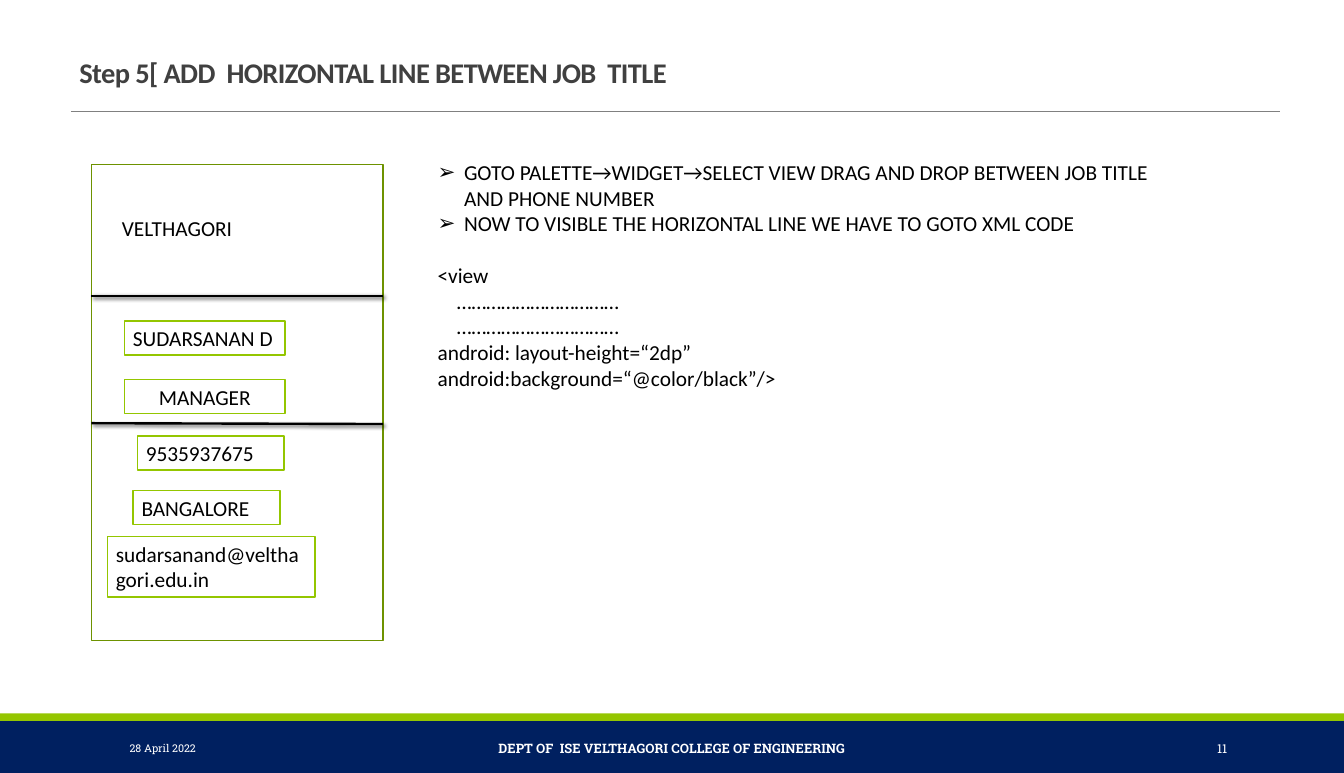
from dataclasses import dataclass

from lxml.etree import SubElement
from pptx import Presentation
from pptx.dml.color import RGBColor as RGB
from pptx.enum.shapes import MSO_CONNECTOR as Link, MSO_SHAPE as Shape
from pptx.enum.text import MSO_ANCHOR as Anchor, MSO_AUTO_SIZE as Fit, PP_ALIGN as Align
from pptx.oxml.ns import qn
from pptx.util import Inches, Pt


@dataclass(frozen=True)
class Theme:
    sans: str = "Calibri"
    slab: str = "Roboto Slab"
    navy: str = "002060"
    lime: str = "94C600"
    olive: str = "6D9200"
    white: str = "FFFFFF"
    black: str = "000000"
    dark: str = "404040"
    gray: str = "808080"
    head: float = 24
    body: float = 18
    foot: float = 11
    page: float = 10.5
    date: float = 9


THEME = Theme()
WIDE, HIGH = 15.75, 9.06
STEPS = [
    "GOTO PALETTE→WIDGET→SELECT VIEW DRAG AND DROP BETWEEN JOB TITLE AND PHONE NUMBER",
    "NOW TO VISIBLE THE HORIZONTAL LINE WE HAVE TO GOTO XML CODE",
]
CODE = [
    "<view",
    "    ……………………………",
    "    ……………………………",
    "android: layout-height=“2dp”",
    "android:background=“@color/black”/>",
]
# Text, offset from the card's corner, size, alignment
FIELDS = [
    ("SUDARSANAN D", 0.39, 1.83, 1.88, 0.4, Align.LEFT),
    ("MANAGER", 0.39, 2.52, 1.88, 0.4, Align.CENTER),
    ("9535937675", 0.54, 3.18, 1.72, 0.4, Align.LEFT),
    ("BANGALORE", 0.49, 3.82, 1.72, 0.4, Align.LEFT),
    ("sudarsanand@velthagori.edu.in", 0.19, 4.36, 2.43, 0.71, Align.LEFT),
]


def write(para, text, size=THEME.body, face=THEME.sans, color=THEME.black, bold=False):
    run = para.add_run()
    run.text = text
    font = run.font
    font.size, font.name, font.bold = Pt(size), face, bold
    font.color.rgb = RGB.from_string(color)
    return run


def add_rect(shapes, x, y, w, h, fill, line=None):
    rect = shapes.add_shape(Shape.RECTANGLE, Inches(x), Inches(y), Inches(w), Inches(h))
    rect.shadow.inherit = False
    rect.fill.solid()
    rect.fill.fore_color.rgb = RGB.from_string(fill)
    if line:
        rect.line.color.rgb = RGB.from_string(line)
        rect.line.width = Pt(1.25)
    else:
        rect.line.fill.background()
    return rect


def add_box(shapes, x, y, w, h, anchor=Anchor.TOP):
    box = shapes.add_textbox(Inches(x), Inches(y), Inches(w), Inches(h))
    frame = box.text_frame
    frame.word_wrap = True
    frame.vertical_anchor = anchor
    return frame


def add_rule(shapes, x, y, x2, y2, color, width, shade=False):
    rule = shapes.add_connector(Link.STRAIGHT, Inches(x), Inches(y), Inches(x2), Inches(y2))
    rule.line.color.rgb = RGB.from_string(color)
    rule.line.width = Pt(width)
    effects = SubElement(rule._element.spPr, qn("a:effectLst"))
    if shade:
        outer = SubElement(effects, qn("a:outerShdw"), blurRad=str(Pt(3)),
                           dist=str(Pt(2)), dir=str(45 * 60000), rotWithShape="0")
        tone = SubElement(outer, qn("a:srgbClr"), val=color)
        SubElement(tone, qn("a:alpha"), val="60000")


def add_title(slide, x, y, w, h):
    title = slide.shapes.title
    title.left, title.top, title.width, title.height = map(Inches, (x, y, w, h))
    frame = title.text_frame
    frame.word_wrap, frame.auto_size = True, Fit.NONE
    frame.vertical_anchor = Anchor.BOTTOM
    para = frame.paragraphs[0]
    para.alignment, para.line_spacing = Align.LEFT, 0.85
    run = write(para, "Step 5[ ADD  HORIZONTAL LINE BETWEEN JOB  TITLE",
                THEME.head, color=THEME.dark, bold=True)
    run._r.get_or_add_rPr().set("spc", "-50")
    add_rule(slide.shapes, x, y + 1.16, 15, y + 1.16, THEME.gray, 0.5)


def add_steps(slide, x, y, w, h):
    frame = add_box(slide.shapes, x, y, w, h)
    for i, text in enumerate(STEPS + CODE):
        para = frame.add_paragraph() if i else frame.paragraphs[0]
        if i < len(STEPS):
            props = para._p.get_or_add_pPr()
            props.set("marL", str(Inches(0.31)))
            props.set("indent", str(-Inches(0.31)))
            SubElement(props, qn("a:buFont"), typeface=THEME.sans)
            SubElement(props, qn("a:buChar"), char="➢")
        elif i == len(STEPS):
            para.space_before = Pt(22)
        write(para, text)


def add_card(slide, x, y, w, h):
    """Phone screen mock-up: name, two dividers and the contact fields."""
    shapes = slide.shapes.add_group_shape().shapes
    add_rect(shapes, x, y, w, h, THEME.white, THEME.olive)
    add_rule(shapes, x, y + 1.54, x + w, y + 1.54, THEME.black, 2, True)
    name = add_box(shapes, x + 0.26, y + 0.54, 1.9, 0.63)
    write(name.paragraphs[0], "VELTHAGORI")
    for text, dx, dy, wide, high, align in FIELDS:
        field = add_rect(shapes, x + dx, y + dy, wide, high, THEME.white, THEME.lime)
        frame = field.text_frame
        frame.word_wrap = True
        frame.vertical_anchor = Anchor.TOP
        para = frame.paragraphs[0]
        para.alignment = align
        write(para, text)
    add_rule(shapes, x, y + 3.03, x + w, y + 3.04, THEME.black, 2, True)


def add_footer(slide, x, y, w, h):
    add_rect(slide.shapes, x, y + 0.09, w, h - 0.09, THEME.navy)
    add_rect(slide.shapes, x, y, w, 0.09, THEME.lime)
    parts = [
        ("28 April 2022", 1.42, 3.19, Align.LEFT, THEME.date, False),
        ("DEPT OF  ISE VELTHAGORI COLLEGE OF ENGINEERING", 4.76, 6.23,
         Align.CENTER, THEME.foot, True),
        ("11", 12.79, 1.69, Align.RIGHT, THEME.page, False),
    ]
    for text, dx, wide, align, size, bold in parts:
        frame = add_box(slide.shapes, x + dx, y + 0.17, wide, 0.48, Anchor.MIDDLE)
        para = frame.paragraphs[0]
        para.alignment = align
        write(para, text, size, THEME.slab, THEME.white, bold)


def main():
    deck = Presentation()
    deck.slide_width, deck.slide_height = Inches(WIDE), Inches(HIGH)
    slide = deck.slides.add_slide(deck.slide_layouts[5])
    add_footer(slide, 0, 8.36, WIDE, HIGH - 8.36)
    add_title(slide, 0.83, 0.15, 12.49, 0.95)
    add_steps(slide, 5.03, 1.82, 8.72, 2.83)
    add_card(slide, 1.07, 1.93, 3.42, 5.58)
    deck.save("out.pptx")


if __name__ == "__main__":
    main()
